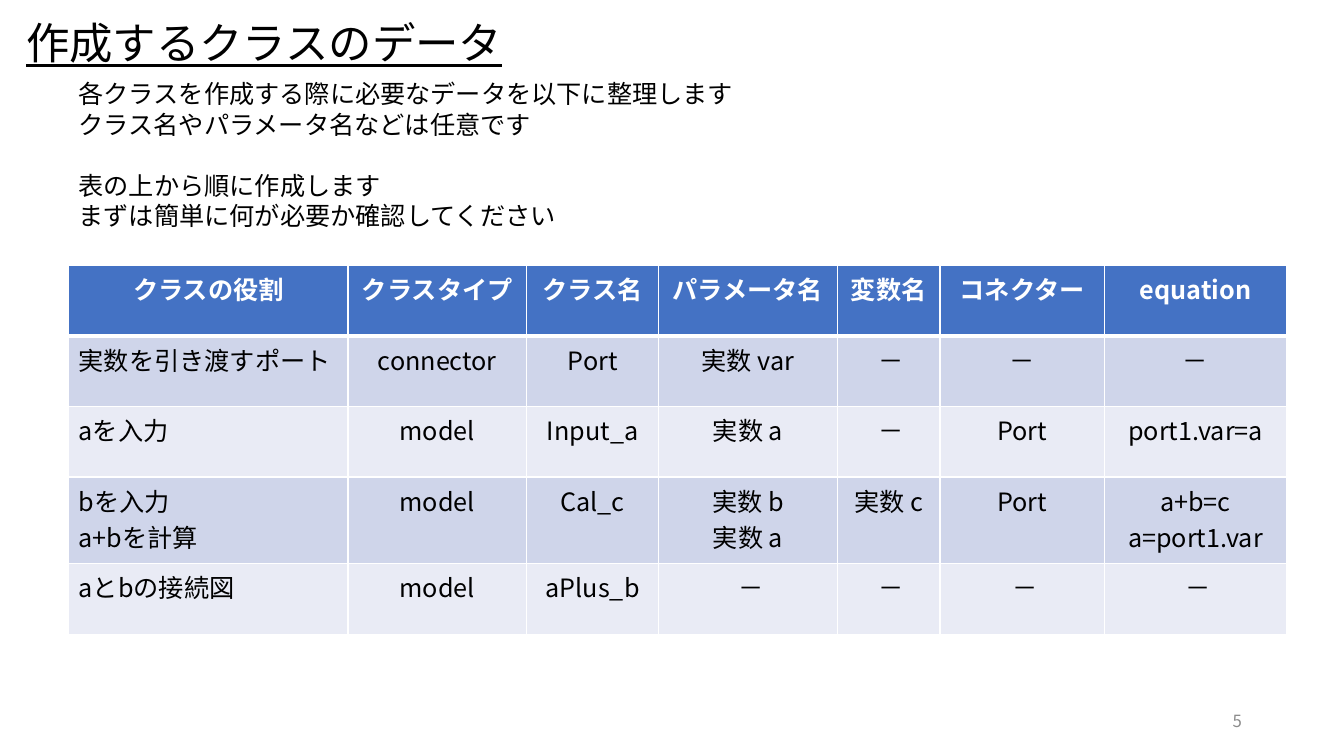
from lxml import etree
from pptx import Presentation
from pptx.dml.color import RGBColor
from pptx.enum.text import MSO_ANCHOR, PP_ALIGN
from pptx.oxml.ns import qn
from pptx.util import Cm, Pt

LEFT, CENTER, RIGHT = PP_ALIGN.LEFT, PP_ALIGN.CENTER, PP_ALIGN.RIGHT
TOP, MIDDLE = MSO_ANCHOR.TOP, MSO_ANCHOR.MIDDLE

FONT = "Noto Sans CJK JP"
COLORS = {
    "text": "000000",
    "number": "8C8C8C",
    "white": "FFFFFF",
    "header": "4472C4",
    "odd": "CFD5EA",
    "even": "E9EBF5",
}

TITLE = "作成するクラスのデータ"
INTRO = [
    "各クラスを作成する際に必要なデータを以下に整理します",
    "クラス名やパラメータ名などは任意です",
    "表の上から順に作成します",
    "まずは簡単に何が必要か確認してください",
]
INTRO_PITCH = 21.8
SECOND_BLOCK = 2
PAGE_NUMBER = "5"

CLASSES = [
    ["クラスの役割", "クラスタイプ", "クラス名", "パラメータ名", "変数名", "コネクター", "equation"],
    ["実数を引き渡すポート", "connector", "Port", "実数 var", " －", "－", "－"],
    ["aを入力", "model", "Input_a", "実数 a", " －", "Port", "port1.var=a"],
    ["bを入力\na+bを計算", "model", "Cal_c", "実数 b\n実数 a", "実数 c", "Port", "a+b=c\na=port1.var"],
    ["aとbの接続図", "model", "aPlus_b", " －", " －", " －", " －"],
]
COLUMN_WIDTHS = [7.04, 4.5, 3.33, 4.5, 2.59, 4.14, 4.6]
ROW_HEIGHTS = [1.78, 1.78, 1.78, 2.18, 1.78]


def write(tf, text, size, color, align=LEFT, bold=False, underline=False):
    tf.text = text
    for p in tf.paragraphs:
        p.alignment = align
        for r in p.runs:
            font = r.font
            font.name, font.size = FONT, Pt(size)
            font.bold, font.underline = bold, underline
            font.color.rgb = RGBColor.from_string(COLORS[color])
            etree.SubElement(r._r.get_or_add_rPr(), qn("a:ea"), typeface=FONT)


def add_text(s, box, text, size, color, anchor=TOP, wrap=False, **style):
    tf = s.shapes.add_textbox(*map(Cm, box)).text_frame
    tf.word_wrap = wrap
    tf.vertical_anchor = anchor
    write(tf, text, size, color, **style)
    return tf


def add_borders(cell, top, bottom):
    """Draw white cell edges; top and bottom are widths in points."""
    tcPr = cell._tc.get_or_add_tcPr()
    for edge, width in (("L", 1), ("R", 1), ("T", top), ("B", bottom)):
        ln = etree.SubElement(tcPr, qn(f"a:ln{edge}"), w=str(Pt(width)))
        fill = etree.SubElement(ln, qn("a:solidFill"))
        etree.SubElement(fill, qn("a:srgbClr"), val=COLORS["white"])


def add_class_table(s, left, top):
    table = s.shapes.add_table(
        len(CLASSES), len(COLUMN_WIDTHS), Cm(left), Cm(top),
        Cm(sum(COLUMN_WIDTHS)), Cm(sum(ROW_HEIGHTS))).table
    for column, width in zip(table.columns, COLUMN_WIDTHS):
        column.width = Cm(width)
    for i, (row, height) in enumerate(zip(table.rows, ROW_HEIGHTS)):
        row.height = Cm(height)
        header = i == 0
        fill = "header" if header else "odd" if i % 2 else "even"
        for j, cell in enumerate(row.cells):
            write(cell.text_frame, CLASSES[i][j], 18, "white" if header else "text",
                  align=CENTER if header or j else LEFT, bold=header)
            add_borders(cell, 3 if i == 1 else 1, 3 if header else 1)
            cell.fill.solid()
            cell.fill.fore_color.rgb = RGBColor.from_string(COLORS[fill])


def main():
    prs = Presentation()
    prs.slide_width, prs.slide_height = Cm(33.87), Cm(19.05)
    s = prs.slides.add_slide(prs.slide_layouts[6])

    title = add_text(s, (0.51, 0.25, 12.42, 1.6), TITLE, 31, "text", MIDDLE, underline=True)
    title.margin_left = title.margin_right = Cm(0.15)
    title.margin_top = title.margin_bottom = Cm(0.15)

    add_class_table(s, 1.73, 6.68)

    intro = add_text(s, (1.73, 1.85, 17.2, 4.11), "\n".join(INTRO), 18, "text")
    for p in intro.paragraphs:
        p.line_spacing = Pt(INTRO_PITCH)
    intro.paragraphs[SECOND_BLOCK].space_before = Pt(INTRO_PITCH)

    add_text(s, (23.93, 17.65, 7.62, 1.02), PAGE_NUMBER, 12, "number", MIDDLE,
             wrap=True, align=RIGHT)
    prs.save("out.pptx")


if __name__ == "__main__":
    main()
